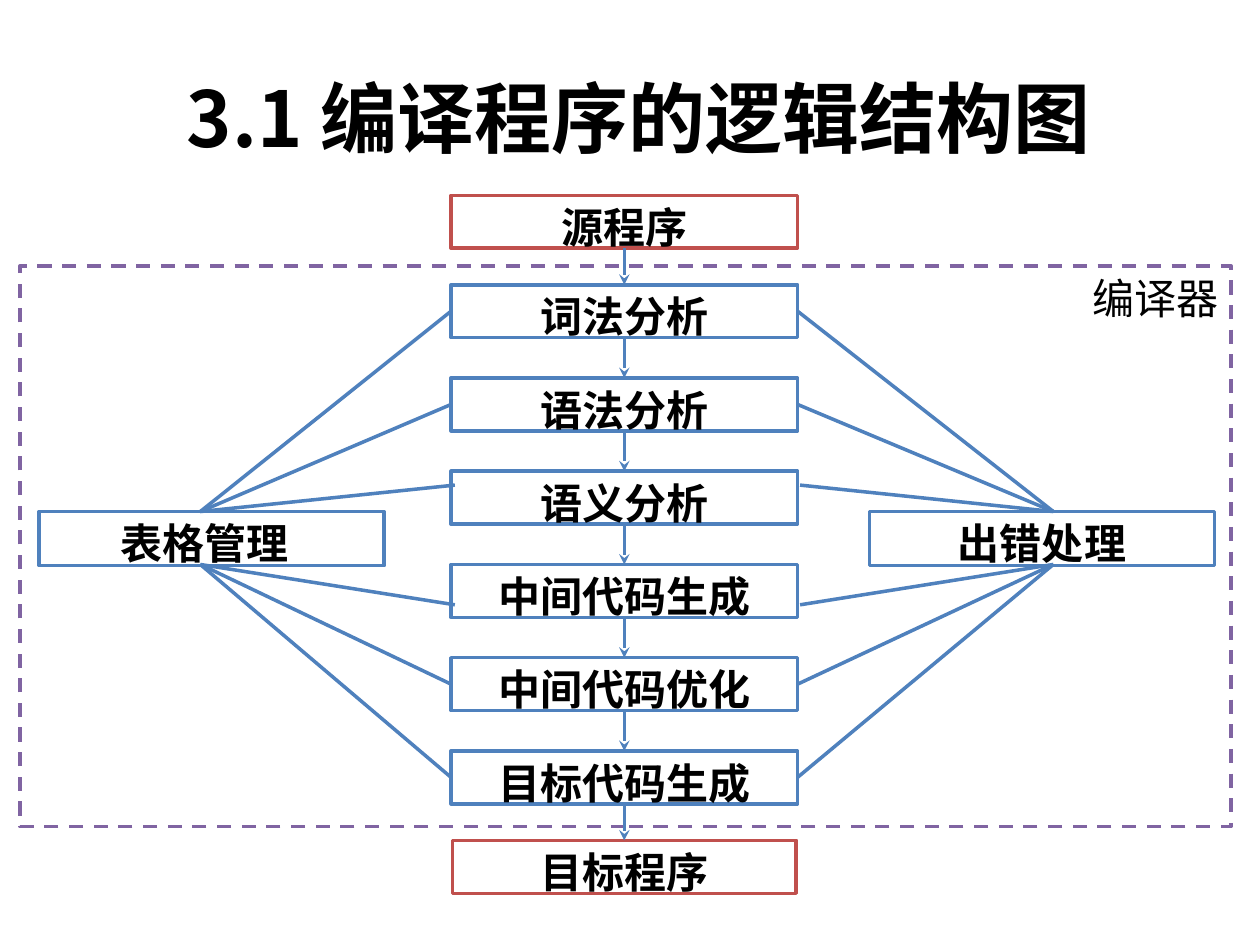
from pptx import Presentation
from pptx import util as u
from pptx.dml.color import RGBColor
from pptx.enum import dml, shapes, text
from pptx.oxml.ns import qn
from lxml import etree

BLACK = RGBColor(0, 0, 0)
WHITE = RGBColor(255, 255, 255)
BLUE = RGBColor(0x4F, 0x81, 0xBD)
RED = RGBColor(0xC0, 0x50, 0x4D)
PURPLE = RGBColor(0x80, 0x64, 0xA2)
SANS = "Noto Sans CJK SC"
LATIN = "Calibri"
STAGES = ["词法分析", "语法分析", "语义分析", "中间代码生成", "中间代码优化", "目标代码生成"]
TOP, STEP, LEFT, WIDE, HIGH = 2.26, 0.74, 3.58, 2.75, 0.42
HUB_TOP, HUB_LOW = 4.06, 4.48


class Chart:
    def __init__(self, slide):
        self.slide = slide

    def label(self, frame, words, size, face, bold, align):
        para = frame.paragraphs[0]
        para.text = words
        para.alignment = align
        font = para.font
        font.size = u.Pt(size)
        font.bold = bold
        font.name = face
        font.color.rgb = BLACK
        props = para._p.pPr.find(qn("a:defRPr"))
        etree.SubElement(props, qn("a:ea"), typeface=SANS)

    def title(self, words, *area):
        head = self.slide.shapes.title
        head.left, head.top, head.width, head.height = map(u.Inches, area)
        head.text_frame.vertical_anchor = text.MSO_ANCHOR.MIDDLE
        self.label(head.text_frame, words, 44, SANS, True, text.PP_ALIGN.CENTER)

    def box(self, words, area, color=BLUE, face=LATIN, bold=True,
            align=text.PP_ALIGN.CENTER):
        rect = self.slide.shapes.add_shape(
            shapes.MSO_SHAPE.RECTANGLE, *map(u.Inches, area))
        rect.shadow.inherit = False
        rect.fill.solid()
        rect.fill.fore_color.rgb = WHITE
        rect.line.color.rgb = color
        rect.line.width = u.Pt(2)
        frame = rect.text_frame
        frame.word_wrap = True
        frame.vertical_anchor = text.MSO_ANCHOR.TOP
        self.label(frame, words, 24, face, bold, align)
        return rect

    def line(self, start, end):
        link = self.slide.shapes.add_connector(
            shapes.MSO_CONNECTOR.STRAIGHT, *map(u.Inches, start + end))
        link.line.color.rgb = BLUE
        link.line.width = u.Pt(2)
        etree.SubElement(link._element.spPr, qn("a:effectLst"))
        return link

    def arrow(self, upper, lower):
        link = self.line((0, 0), (0, 0))
        link.begin_connect(upper, 2)
        link.end_connect(lower, 0)
        stroke = link._element.spPr.find(qn("a:ln"))
        etree.SubElement(stroke, qn("a:tailEnd"), type="stealth")


def main():
    deck = Presentation()
    deck.slide_width, deck.slide_height = u.Inches(10), u.Inches(7.5)
    chart = Chart(deck.slides.add_slide(deck.slide_layouts[5]))

    area = chart.box("编译器", (0.16, 2.11, 9.61, 4.45), PURPLE, SANS, False,
                     text.PP_ALIGN.RIGHT)
    area.line.dash_style = dml.MSO_LINE.DASH
    chart.title(" 3.1 编译程序的逻辑结构图", 0.5, 0.3, 9, 1.25)

    source = chart.box("源程序", (LEFT, 1.55, WIDE, HIGH), RED)
    stages = [chart.box(name, (LEFT, TOP + i * STEP, WIDE, HIGH))
              for i, name in enumerate(STAGES)]
    target = chart.box("目标程序", (3.59, 6.67, 2.73, HIGH), RED)
    chart.box("出错处理", (6.9, HUB_TOP, 2.74, 0.43))
    table = chart.box("表格管理", (0.31, HUB_TOP, 2.74, 0.43))
    table.text_frame.margin_right = u.Inches(0.21)

    flow = [source, *stages, target]
    for upper, lower in zip(flow, flow[1:]):
        chart.arrow(upper, lower)

    ends = [2.47, 3.21, 3.85, 4.8, 5.43, 6.17]
    for i, (stage, y) in enumerate(zip(stages, ends)):
        hub_y = HUB_TOP if i < 3 else HUB_LOW
        for hub_x, x, side in ((1.59, 3.61, 1), (8.36, 6.35, 3)):
            link = chart.line((hub_x, hub_y), (x, y))
            if i not in (2, 3):
                link.end_connect(stage, side)

    deck.save("out.pptx")


if __name__ == "__main__":
    main()
